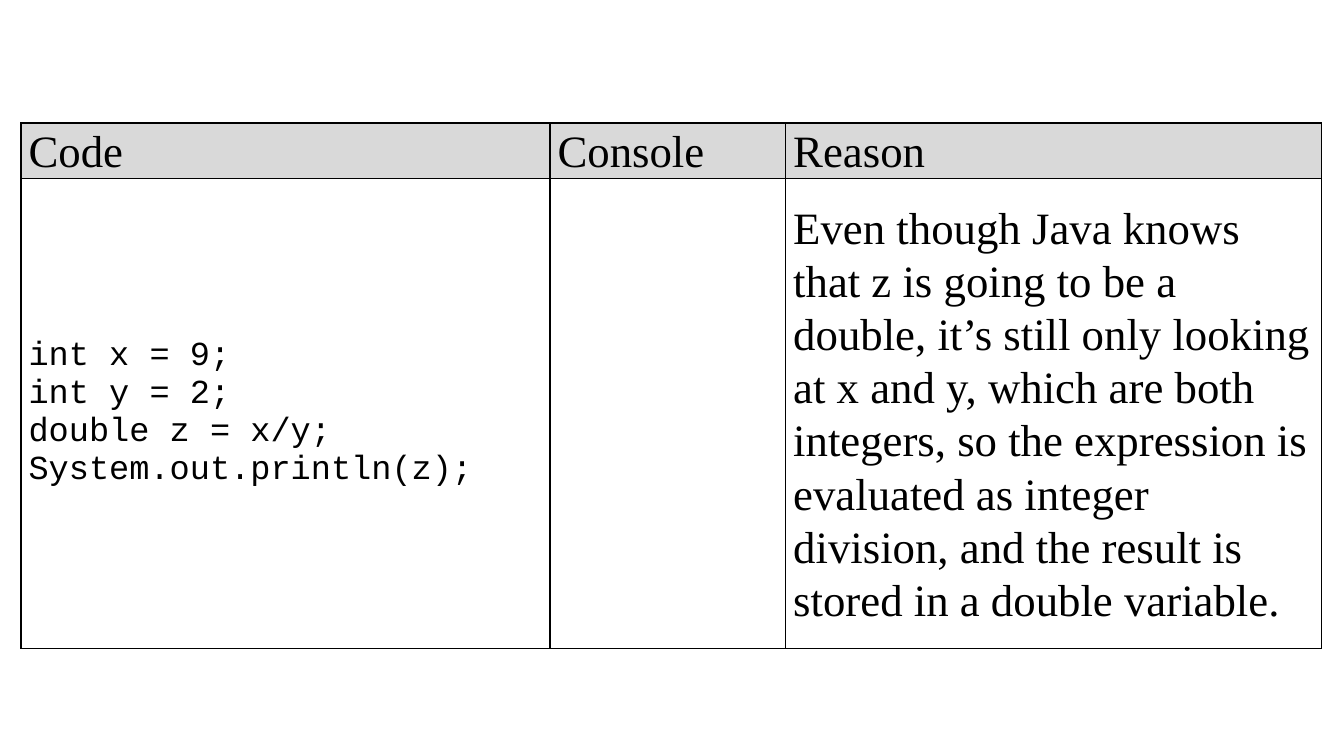
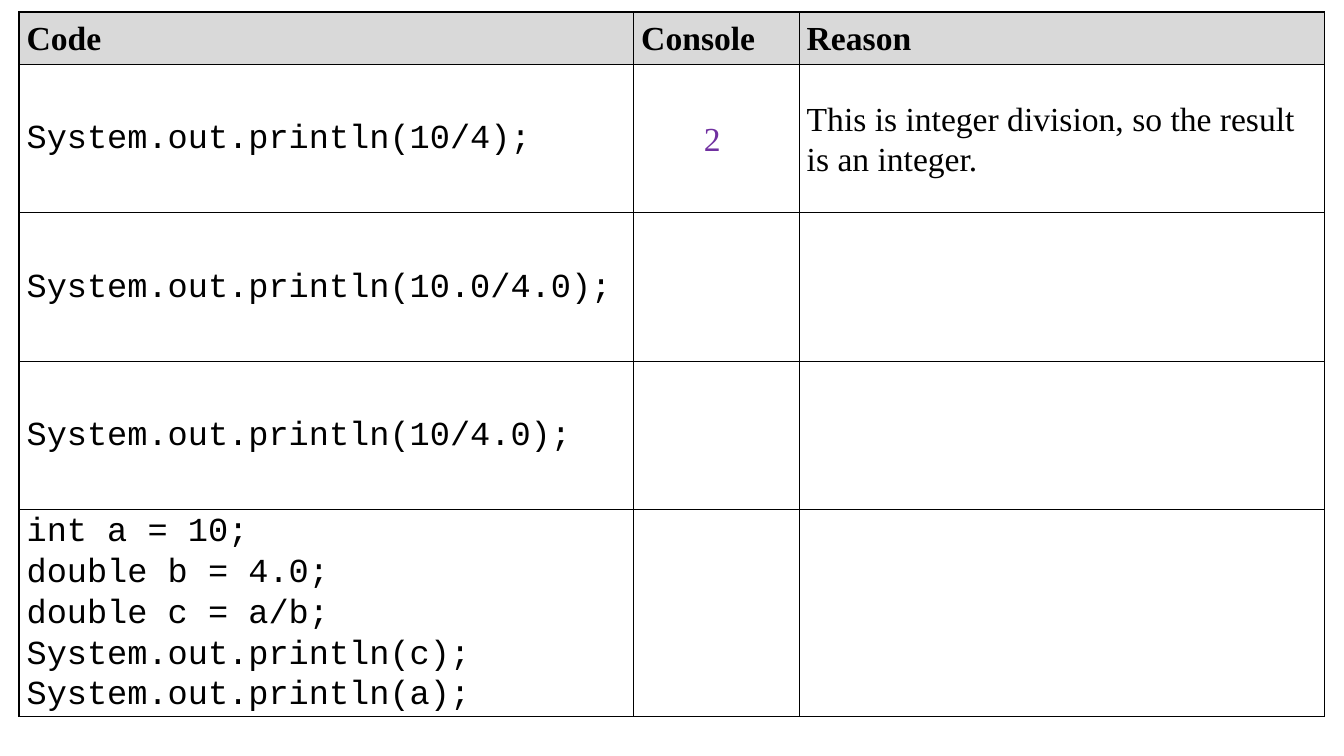
from lxml import etree
from pptx import Presentation
from pptx.dml.color import RGBColor
from pptx.enum import text
from pptx.oxml import ns
from pptx.util import Cm, Pt

BLACK = RGBColor(0x00, 0x00, 0x00)
HEADER_GREY = RGBColor(0xD9, 0xD9, 0xD9)
ANSWER_PURPLE = RGBColor(0x70, 0x30, 0xA0)
SERIF, MONO = "Times New Roman", "Courier New"
HEADINGS = ["Code", "Console", "Reason"]
CODE, CONSOLE = 0, 1
LINE_SPACING = 1.07
CODE_SIZE = 24


def add_borders(cell):
    """Give all four sides of a cell a thin black line."""
    properties = cell._tc.get_or_add_tcPr()
    for side in ("a:lnL", "a:lnR", "a:lnT", "a:lnB"):
        line = etree.SubElement(properties, ns.qn(side), w=str(Pt(1)))
        fill = etree.SubElement(line, ns.qn("a:solidFill"))
        etree.SubElement(fill, ns.qn("a:srgbClr"), val=str(BLACK))


# Content of each slide: one table of code, console output and reason
exercises = [
    {
        "corner": (0.53, 3.1),
        "widths": [13.33, 5.94, 13.51],
        "heights": [1.4, 11.84],
        "prose_size": 32,
        "bold_header": False,
        "code_spacing": 1.0,
        "rows": [
            ["int x = 9;\nint y = 2;\ndouble z = x/y;\nSystem.out.println(z);", "",
             "Even though Java knows that z is going to be a double, it’s still "
             "only looking at x and y, which are both integers, so the expression "
             "is evaluated as integer division, and the result is stored in a "
             "double variable."],
        ],
    },
    {
        "corner": (0.48, 0.3),
        "widths": [15.49, 4.17, 13.23],
        "heights": [1.32, 3.74, 3.74, 3.74, 5.21],
        "prose_size": 24,
        "bold_header": True,
        "code_spacing": LINE_SPACING,
        "rows": [
            ["System.out.println(10/4);", "2 ",
             "This is integer division, so the result is an integer."],
            ["System.out.println(10.0/4.0);", "", ""],
            ["System.out.println(10/4.0);", "", ""],
            ["int a = 10;\ndouble b = 4.0;\ndouble c = a/b;\n"
             "System.out.println(c);\nSystem.out.println(a);", "", ""],
        ],
    },
]

deck = Presentation()
deck.slide_width, deck.slide_height = Cm(33.87), Cm(19.05)

for exercise in exercises:
    slide = deck.slides.add_slide(deck.slide_layouts[6])
    rows = [HEADINGS] + exercise["rows"]
    left, top = exercise["corner"]
    table = slide.shapes.add_table(
        len(rows), len(HEADINGS), Cm(left), Cm(top),
        Cm(sum(exercise["widths"])), Cm(sum(exercise["heights"]))).table
    table.first_row = table.horz_banding = False

    # Grid
    for column, width in zip(table.columns, exercise["widths"]):
        column.width = Cm(width)
    for row, height in zip(table.rows, exercise["heights"]):
        row.height = Cm(height)

    # Cells
    for row_number, row in enumerate(rows):
        is_header = row_number == 0
        for column_number, content in enumerate(row):
            is_code = column_number == CODE and not is_header
            is_answer = column_number == CONSOLE and not is_header
            cell = table.cell(row_number, column_number)
            add_borders(cell)
            if is_header:
                cell.fill.solid()
                cell.fill.fore_color.rgb = HEADER_GREY
            else:
                cell.fill.background()
            cell.margin_left = cell.margin_right = Cm(0.19)
            cell.margin_top = cell.margin_bottom = 0
            cell.vertical_anchor = text.MSO_ANCHOR.MIDDLE
            if not content:
                continue
            cell.text = content
            for paragraph in cell.text_frame.paragraphs:
                paragraph.line_spacing = exercise["code_spacing"] if is_code else LINE_SPACING
                if is_answer:
                    paragraph.alignment = text.PP_ALIGN.CENTER
                font = paragraph.font
                font.name = MONO if is_code else SERIF
                font.size = Pt(CODE_SIZE if is_code else exercise["prose_size"])
                font.bold = is_header and exercise["bold_header"]
                font.color.rgb = ANSWER_PURPLE if is_answer else BLACK

deck.save("out.pptx")
